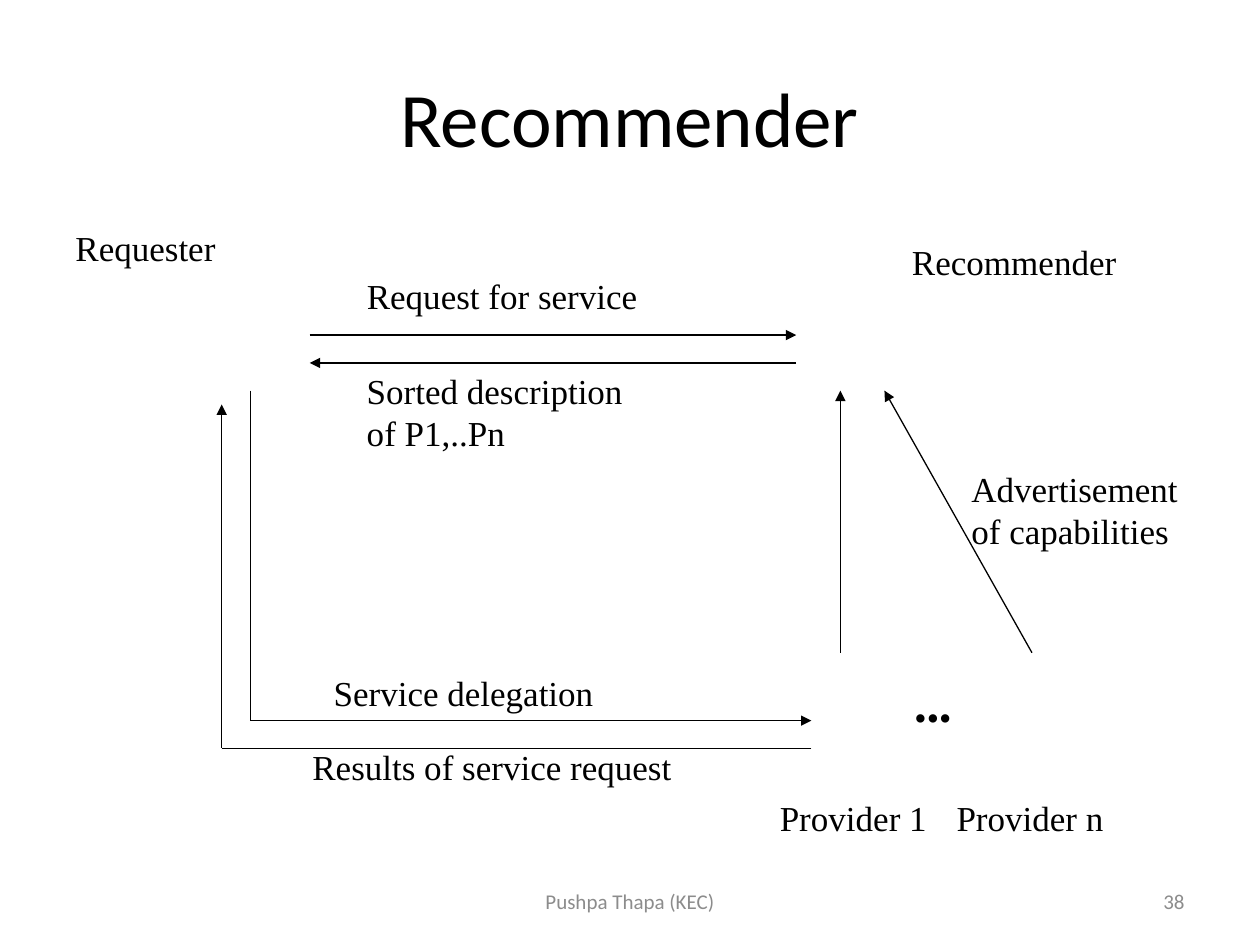
import pptx
import pptx.dml.color
import pptx.enum.shapes
import pptx.enum.text
import pptx.oxml
import pptx.util

Pt = pptx.util.Pt
ALIGN = pptx.enum.text.PP_ALIGN
ANCHOR = pptx.enum.text.MSO_ANCHOR
FIT = pptx.enum.text.MSO_AUTO_SIZE
BLACK = pptx.dml.color.RGBColor(0x00, 0x00, 0x00)
GREY = pptx.dml.color.RGBColor(0x8C, 0x8C, 0x8C)
SERIF, SANS = "Times New Roman", "Calibri"

# Left, top, width and lines of text
LABELS = [
    (36, 126, 97.2, ["Requester"]),
    (514, 134, 135.4, ["Recommender"]),
    (202.5, 153.4, 174.2, ["Request for service"]),
    (202.5, 207.4, 170.6, ["Sorted description", "of P1,..Pn"]),
    (548, 263.5, 136, ["Advertisement", "of capabilities"]),
    (183.6, 380.2, 167.8, ["Service delegation"]),
    (171.4, 422.6, 226, ["Results of service request"]),
    (515.5, 393.8, 44, ["•••"]),
    (438.5, 451.4, 101.5, ["Provider 1"]),
    (539.5, 451.4, 101.5, ["Provider n"]),
]

# Start, end and whether the end has an arrowhead
LINES = [
    ((177, 191.5), (455, 191.5), True),      # request
    ((455, 207.4), (177, 207.4), True),      # sorted description
    ((480.2, 373), (480.2, 223.2), True),    # advertisements
    ((589.7, 373), (505.4, 223.2), True),
    ((143.3, 223.2), (143.3, 411.8), False),  # delegation
    ((143.3, 411.8), (463.7, 411.8), True),
    ((463.7, 427.7), (126.7, 427.7), False),  # results
    ((126.7, 427.7), (126.7, 231.1), True),
]


def style(para, name, size, color, align):
    para.font.name = name
    para.font.size = Pt(size)
    para.font.color.rgb = color
    para.alignment = align


def add_title(slide, text):
    title = slide.shapes.title
    title.left, title.top = Pt(36), Pt(21.6)
    title.width, title.height = Pt(648), Pt(90)
    title.text_frame.text = text
    title.text_frame.vertical_anchor = ANCHOR.MIDDLE
    style(title.text_frame.paragraphs[0], SANS, 44, BLACK, ALIGN.CENTER)


def add_label(slide, left, top, width, lines):
    height = 7 + 24 * len(lines)
    box = slide.shapes.add_textbox(Pt(left), Pt(top), Pt(width), Pt(height))
    frame = box.text_frame
    frame.word_wrap = False
    frame.auto_size = FIT.SHAPE_TO_FIT_TEXT
    frame.text = "\n".join(lines)
    for para in frame.paragraphs:
        style(para, SERIF, 20, BLACK, ALIGN.LEFT)


def add_line(slide, start, end, arrow):
    line = slide.shapes.add_connector(
        pptx.enum.shapes.MSO_CONNECTOR.STRAIGHT,
        *(Pt(value) for value in start + end))
    line.line.color.rgb = BLACK
    line.line.width = Pt(0.75)
    if arrow:
        head = pptx.oxml.parse_xml(
            '<a:tailEnd xmlns:a="http://schemas.openxmlformats.org/'
            'drawingml/2006/main" type="triangle"/>')
        line.line._get_or_add_ln().append(head)
    props = line._element.spPr
    props.append(props.makeelement(pptx.oxml.ns.qn("a:effectLst"), {}))


def add_footer(slide, left, width, text, align):
    box = slide.shapes.add_textbox(Pt(left), Pt(500.4), Pt(width), Pt(28.8))
    frame = box.text_frame
    frame.word_wrap = True
    frame.vertical_anchor = ANCHOR.MIDDLE
    frame.text = text
    style(frame.paragraphs[0], SANS, 12, GREY, align)


def main():
    deck = pptx.Presentation()
    deck.slide_width, deck.slide_height = Pt(720), Pt(540)
    slide = deck.slides.add_slide(deck.slide_layouts.get_by_name("Title Only"))
    add_title(slide, "Recommender")
    for line in LINES:
        add_line(slide, *line)
    for label in LABELS:
        add_label(slide, *label)
    add_footer(slide, 246, 228, "Pushpa Thapa (KEC)", ALIGN.CENTER)
    add_footer(slide, 516, 168, "38", ALIGN.RIGHT)
    deck.save("out.pptx")


if __name__ == "__main__":
    main()
